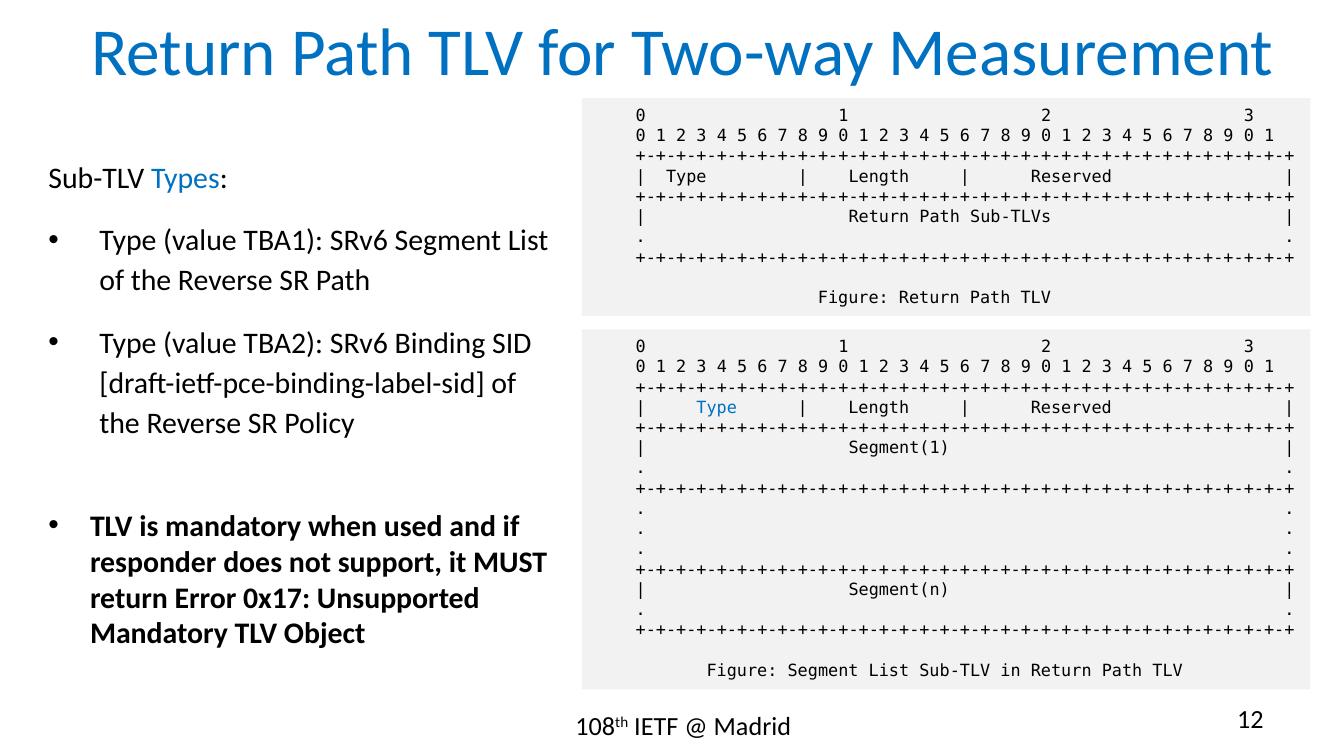
"""Build the slide on the Return Path TLV for two-way measurement."""
from lxml.etree import SubElement
from pptx import Presentation
from pptx.dml.color import RGBColor
from pptx.enum.shapes import MSO_SHAPE
from pptx.enum.text import MSO_ANCHOR, MSO_AUTO_SIZE, PP_ALIGN
from pptx.oxml.ns import qn
from pptx.util import Inches, Pt

BLACK, BLUE, GRAY = "000000", "0070C0", "F2F2F2"
CHARACTER_WIDTH = 0.0753


def add_run(paragraph, text, size, color=BLACK, font="Calibri", bold=False):
    run = paragraph.add_run()
    run.text = text
    run.font.name = font
    run.font.size = Pt(size)
    run.font.bold = bold
    run.font.color.rgb = RGBColor.from_string(color)
    return run


def set_indent(paragraph, left, first=0, bullet=None):
    properties = paragraph._p.get_or_add_pPr()
    properties.set("marL", str(Inches(left)))
    properties.set("indent", str(Inches(first)))
    if bullet:
        SubElement(properties, qn("a:buChar")).set("char", bullet)
    else:
        SubElement(properties, qn("a:buNone"))


presentation = Presentation()
presentation.slide_width = Inches(10)
presentation.slide_height = Inches(10) * 9 // 16
slide = presentation.slides.add_slide(presentation.slide_layouts[3])
title, types_list, mandatory_list = slide.placeholders

for placeholder, left, top, width, height in [
    (title, 0.49, -0.11, 9.18, 0.94),
    (types_list, 0.26, 1.1, 4.01, 2.19),
    (mandatory_list, 0.26, 3.72, 4.01, 1.18),
]:
    placeholder.left, placeholder.top = Inches(left), Inches(top)
    placeholder.width, placeholder.height = Inches(width), Inches(height)
    placeholder.text_frame.auto_size = MSO_AUTO_SIZE.NONE
    placeholder.text_frame.vertical_anchor = MSO_ANCHOR.TOP

title.text_frame.vertical_anchor = MSO_ANCHOR.MIDDLE
title_paragraph = title.text_frame.paragraphs[0]
title_paragraph.alignment = PP_ALIGN.CENTER
add_run(title_paragraph, "Return Path TLV for Two-way Measurement", 36, BLUE)

type_items = [
    [("Sub-TLV ", BLACK), ("Types", BLUE), (":", BLACK)],
    [("Type (value TBA1): SRv6 Segment List of the Reverse SR Path", BLACK)],
    [("Type (value TBA2): SRv6 Binding SID [draft-ietf-pce-binding-label-sid] "
      "of the Reverse SR Policy", BLACK)],
]
for index, item in enumerate(type_items):
    frame = types_list.text_frame
    paragraph = frame.add_paragraph() if index else frame.paragraphs[0]
    paragraph.line_spacing = Pt(21.4)
    paragraph.space_before = paragraph.space_after = Pt(6)
    if index:
        set_indent(paragraph, 0.38, -0.38, "•")
    else:
        set_indent(paragraph, 0)
    for text, color in item:
        add_run(paragraph, text, 16, color)

mandatory = mandatory_list.text_frame.paragraphs[0]
mandatory.space_before = Pt(0)
set_indent(mandatory, 0.31, -0.31, "•")
add_run(mandatory, "TLV is mandatory when used and if responder does not support, "
        "it MUST return Error 0x17: Unsupported Mandatory TLV Object", 16, bold=True)

tens = "".join(f"{ten:<20}" for ten in range(4)).rstrip()
bits = " ".join(str(bit % 10) for bit in range(32))
border = "+-" * 32 + "+"
dots = "." + " " * 63 + "."
fields = "|    Length     |      Reserved                 |"
path_row, first_segment, last_segment = [
    f"|{'':20}{label:<43}|"
    for label in ("Return Path Sub-TLVs", "Segment(1)", "Segment(n)")
]
header = [[tens], [bits], [border]]
diagrams = [
    (0.73, 1.62, header + [
        ["|  Type         " + fields], [border], [path_row], [dots], [border],
    ], "Figure: Return Path TLV", 18),
    (2.45, 2.68, header + [
        ["|     ", "Type", "      " + fields], [border],
        [first_segment], [dots], [border], [dots], [dots], [dots], [border],
        [last_segment], [dots], [border],
    ], "Figure: Segment List Sub-TLV in Return Path TLV", 7),
]
for top, height, rows, caption, caption_column in diagrams:
    panel = slide.shapes.add_shape(
        MSO_SHAPE.RECTANGLE, Inches(4.33), Inches(top), Inches(5.42), Inches(height))
    panel.shadow.inherit = False
    panel.fill.solid()
    panel.fill.fore_color.rgb = RGBColor.from_string(GRAY)
    panel.line.fill.background()
    frame = panel.text_frame
    frame.word_wrap = True
    frame.vertical_anchor = MSO_ANCHOR.TOP
    frame.margin_left = Inches(0.4)
    frame.margin_right = Inches(0.05)
    for index, row in enumerate(rows + [[caption]]):
        paragraph = frame.add_paragraph() if index else frame.paragraphs[0]
        paragraph.alignment = PP_ALIGN.LEFT
        for text in row:
            color = BLUE if text == "Type" else BLACK
            add_run(paragraph, text, 9, color, "DejaVu Sans Mono")
    paragraph.space_before = Pt(10.8)
    set_indent(paragraph, caption_column * CHARACTER_WIDTH)

footers = [
    (3.5, 5.23, 3.17, PP_ALIGN.CENTER, ["108", "th", " IETF @ Madrid"]),
    (7.17, 5.18, 2.33, PP_ALIGN.RIGHT, ["12"]),
]
for left, top, width, alignment, texts in footers:
    footer = slide.shapes.add_textbox(
        Inches(left), Inches(top), Inches(width), Inches(0.39))
    footer.text_frame.word_wrap = True
    paragraph = footer.text_frame.paragraphs[0]
    paragraph.alignment = alignment
    for text in texts:
        run = add_run(paragraph, text, 14)
        if text == "th":
            run.font._element.set("baseline", "30000")

presentation.save("out.pptx")
